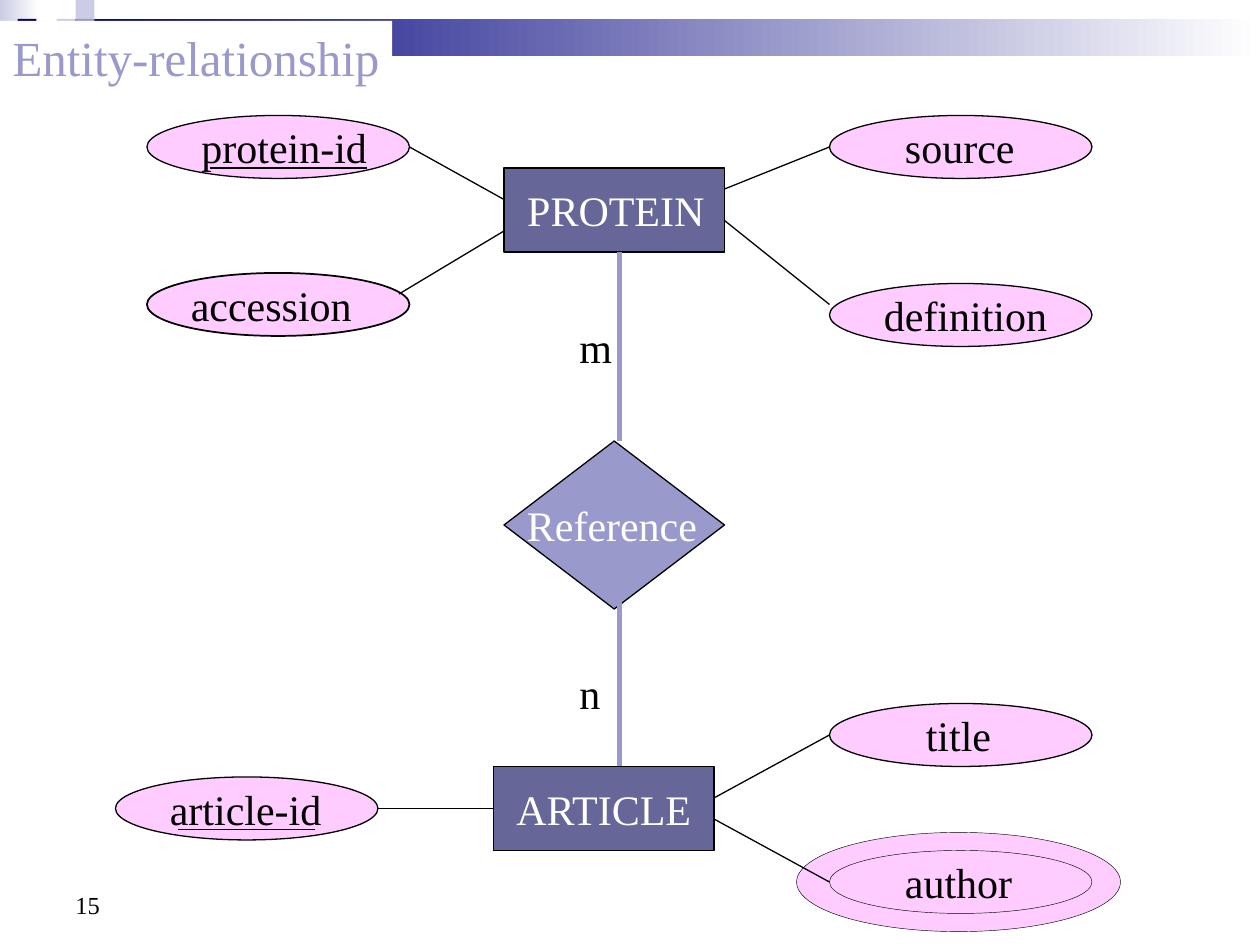
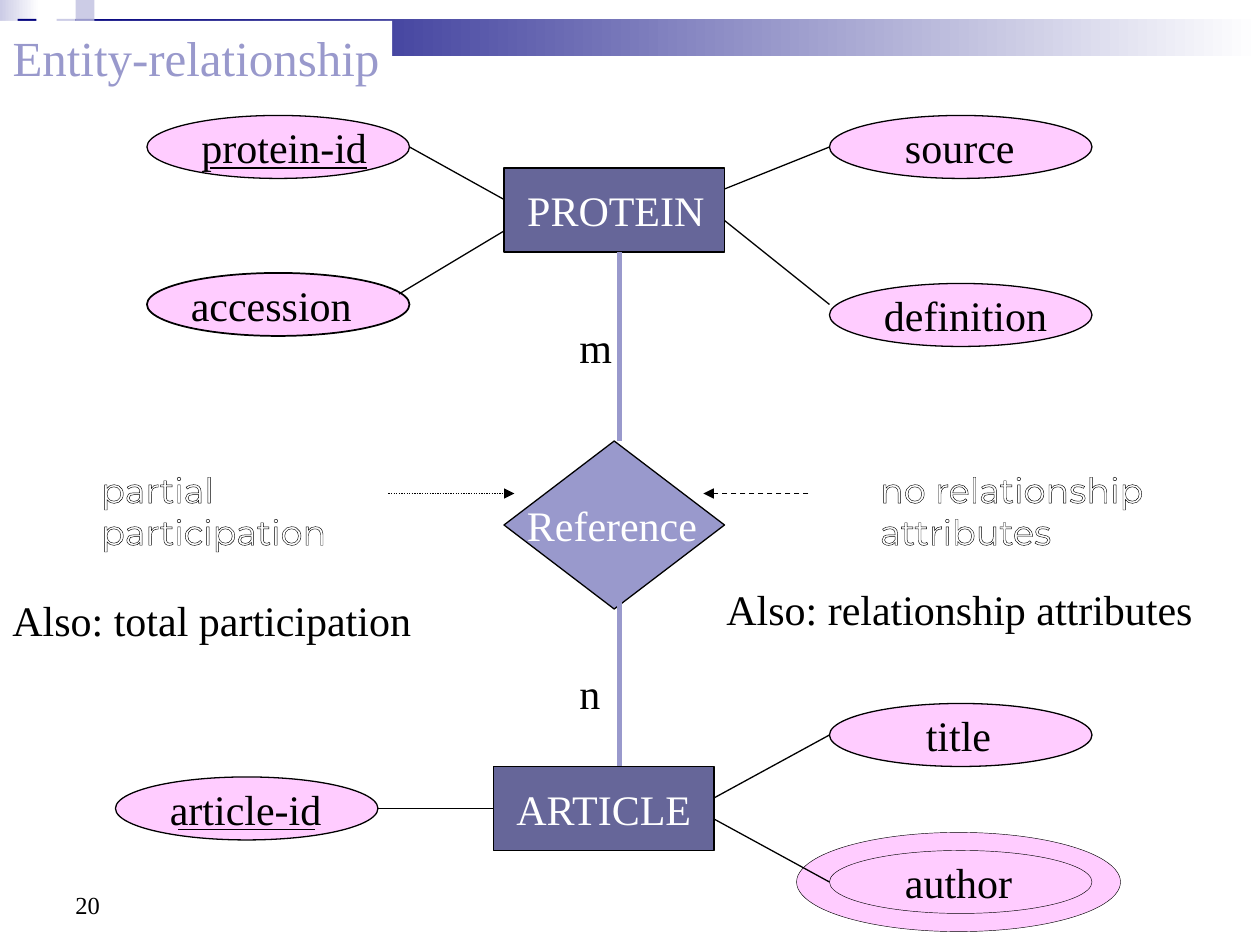
import dataclasses
import typing

import lxml.etree
import pptx
import pptx.dml.color
import pptx.enum.dml
import pptx.enum.shapes
import pptx.enum.text
import pptx.oxml.ns
import pptx.util

SHAPE = pptx.enum.shapes.MSO_SHAPE
DASH = pptx.enum.dml.MSO_LINE
ANCHOR = pptx.enum.text.MSO_ANCHOR
FIT = pptx.enum.text.MSO_AUTO_SIZE

# Slide grid: 120 columns by 90 rows; the top band has its own grid of 50 rows
WIDTH, HEIGHT = pptx.util.Inches(10), pptx.util.Inches(7.5)
CELL = WIDTH / 120
BAND_CELL = HEIGHT / 50

SERIF, SANS = "Times New Roman", "Montserrat"
BLACK, WHITE = "000000", "FFFFFF"
NAVY, SLATE, LILAC, PALE, PINK = "00007D", "666699", "9999CC", "CCCCE6", "FFCCFF"


@dataclasses.dataclass(frozen=True)
class Area:
    col: float
    row: float
    cols: float
    rows: float

    def emu(self, cell: float = CELL) -> list[int]:
        return [round(n * cell) for n in (self.col, self.row, self.cols, self.rows)]


@dataclasses.dataclass(frozen=True)
class Node:
    """An entity, attribute or relationship; its label has its own column."""
    text: str
    area: Area
    label_col: float
    label_cols: float
    kind: int = SHAPE.OVAL
    fill: str = PINK
    color: str = BLACK
    weight: float = 0.75


@dataclasses.dataclass(frozen=True)
class Link:
    start: tuple[float, float]
    end: tuple[float, float]
    color: str = BLACK
    weight: float = 0.75
    dash: typing.Optional[int] = None
    arrow: bool = False
    joined: typing.Optional[tuple[str, int]] = None  # node name, side


@dataclasses.dataclass(frozen=True)
class Note:
    text: str
    area: Area
    outlined: bool = False


def attribute(text: str, col: float, row: float, label_col: float,
              label_cols: float, weight: float = 0.75) -> Node:
    return Node(text, Area(col, row, 25, 6), label_col, label_cols, weight=weight)


def entity(text: str, col: float, row: float, label_col: float, label_cols: float) -> Node:
    return Node(text, Area(col, row, 21, 8), label_col, label_cols,
                SHAPE.RECTANGLE, SLATE, WHITE)


# Top band: area on the band grid, and one colour or two for a gradient
BAND = [
    (Area(0, 0, 2.07, 3.87), (PALE, WHITE)),
    (Area(3, 1, 63.67, 1.96), (NAVY, WHITE)),
    (Area(3, 1, 1, 1), (PALE,)),
    (Area(4, 0, 1, 1), (PALE,)),
    (Area(4, 1, 1, 1), (LILAC,)),
    (Area(0.93, 1, 1, 1), (NAVY,)),
]

# Diagram shared by both slides
TITLE_AREA = Area(0, 2, 37.35, 6.8)
NUMBER_AREA = Area(6, 82, 28, 6.2)
AUTHOR_RING = Area(75.87, 79.28, 30.85, 9.45)

NODES = [
    Node("Reference", Area(48, 42, 21, 16), 49, 18.6, SHAPE.DIAMOND, LILAC, WHITE),
    attribute("protein-id", 14, 11, 18, 18.1),
    attribute("accession", 14, 26, 17, 17.6, weight=1),
    attribute("definition", 79, 27, 83, 17.9),
    attribute("source", 79, 11, 85, 12.8),
    attribute("article-id", 11, 74, 15, 16.8),
    attribute("title", 79, 67, 87, 8.6),
    attribute("author", 79, 81, 85, 12.6, weight=0.25),
    entity("PROTEIN", 48, 16, 49.03, 19.3),
    entity("ARTICLE", 47, 73, 48, 19.2),
]

LINKS = [
    Link((48, 19), (39, 14)),
    Link((48, 22), (38, 28)),
    Link((69, 18), (79, 14)),
    Link((69, 21), (79, 29)),
    Link((68, 76), (79, 70)),
    Link((68, 78), (79, 84)),
    Link((47, 77), (36, 77), joined=("ARTICLE", 1)),
    Link((59, 42), (59, 24), LILAC, 3),
    Link((59, 57), (59, 73), LILAC, 3),
    # Underlines of the key attributes
    Link((20, 16), (35, 16)),
    Link((17, 79), (30, 79)),
]

CARDINALITIES = [
    Note("m", Area(54, 30, 5.5, 6)),
    Note("n", Area(54, 63, 4.3, 6)),
]

# Remarks on the second slide
REMARKS = [
    Note("partial\nparticipation", Area(8.45, 44, 23.7, 9.5), outlined=True),
    Note("Also: total participation", Area(0, 56, 40.3, 6)),
    Note("no relationship\nattributes", Area(82.65, 44, 27.4, 9.5), outlined=True),
    Note("Also: relationship attributes", Area(68, 55, 46.8, 6)),
]
REMARK_ARROWS = [
    Link((37, 47), (49, 47), dash=DASH.ROUND_DOT, arrow=True),
    Link((77, 47), (67, 47), dash=DASH.DASH, arrow=True),
]


def rgb(value: str) -> pptx.dml.color.RGBColor:
    return pptx.dml.color.RGBColor.from_string(value)


def outline_run(r, color: str, weight: float) -> None:
    """Draw a line around the letters of a run; it goes before the fill."""
    ln = lxml.etree.Element(pptx.oxml.ns.qn("a:ln"), w=str(pptx.util.Pt(weight)))
    fill = lxml.etree.SubElement(ln, pptx.oxml.ns.qn("a:solidFill"))
    lxml.etree.SubElement(fill, pptx.oxml.ns.qn("a:srgbClr"), val=color)
    r._r.get_or_add_rPr().insert(0, ln)


def write(sp, text: str, *, size: float = 24, font: str = SERIF, color: str = BLACK,
          wrap: bool = False, anchor=ANCHOR.TOP, fit=FIT.SHAPE_TO_FIT_TEXT,
          outline: str = "") -> None:
    tf = sp.text_frame
    tf.text = text
    tf.word_wrap, tf.auto_size, tf.vertical_anchor = wrap, fit, anchor
    if fit == FIT.SHAPE_TO_FIT_TEXT:
        tf.margin_right = 0  # room to keep a tight label on one line
    for p in tf.paragraphs:
        p.alignment = pptx.enum.text.PP_ALIGN.LEFT
        for r in p.runs:
            r.font.name, r.font.size = font, pptx.util.Pt(size)
            r.font.color.rgb = rgb(color)
            if outline:
                outline_run(r, outline, 0.75)


def add_text(s, text: str, area: Area, **style) -> None:
    write(s.shapes.add_textbox(*area.emu()), text, **style)


def add_figure(s, kind: int, area: Area, fills: tuple[str, ...],
               weight: float = 0, cell: float = CELL):
    sp = s.shapes.add_shape(kind, *area.emu(cell))
    sp.shadow.inherit = False
    if len(fills) == 1:
        sp.fill.solid()
        sp.fill.fore_color.rgb = rgb(fills[0])
    else:
        sp.fill.gradient()
        sp.fill.gradient_angle = 0
        for stop, color in zip(sp.fill.gradient_stops, fills):
            stop.color.rgb = rgb(color)
    if weight:
        sp.line.color.rgb = rgb(BLACK)
        sp.line.width = pptx.util.Pt(weight)
    else:
        sp.line.fill.background()
    return sp


def add_node(s, node: Node):
    sp = add_figure(s, node.kind, node.area, (node.fill,), node.weight)
    label_row = node.area.row + (node.area.rows - 6) / 2
    add_text(s, node.text, Area(node.label_col, label_row, node.label_cols, 6),
             color=node.color)
    return sp


def add_link(s, link: Link, nodes: dict) -> None:
    ends = [round(n * CELL) for n in (*link.start, *link.end)]
    cxn = s.shapes.add_connector(pptx.enum.shapes.MSO_CONNECTOR.STRAIGHT, *ends)
    if link.joined:
        name, side = link.joined
        cxn.begin_connect(nodes[name], side)
    cxn.line.color.rgb = rgb(link.color)
    cxn.line.width = pptx.util.Pt(link.weight)
    if link.dash is not None:
        cxn.line.dash_style = link.dash
    sp_pr = cxn.element.spPr
    if link.arrow:
        ln = sp_pr.find(pptx.oxml.ns.qn("a:ln"))
        lxml.etree.SubElement(ln, pptx.oxml.ns.qn("a:tailEnd"), type="triangle")
    lxml.etree.SubElement(sp_pr, pptx.oxml.ns.qn("a:effectLst"))


def add_note(s, note: Note) -> None:
    if note.outlined:
        add_text(s, note.text, note.area, size=20, font=SANS, color=WHITE,
                 fit=FIT.NONE, outline=BLACK)
    else:
        add_text(s, note.text, note.area)


def add_band(s) -> None:
    """Draw the top band and move it to the layout, behind every title."""
    for area, fills in BAND:
        sp = add_figure(s, SHAPE.RECTANGLE, area, fills, cell=BAND_CELL)
        s.slide_layout.shapes.element.append(sp.element)


def add_diagram(s, number: str) -> None:
    # Title
    title = s.shapes.title
    title.left, title.top, title.width, title.height = TITLE_AREA.emu()
    title.fill.solid()
    title.fill.fore_color.rgb = rgb(WHITE)
    write(title, "Entity-relationship", size=28, color=LILAC)

    # Entities, attributes and relationship
    add_figure(s, SHAPE.OVAL, AUTHOR_RING, (PINK,), 0.25)
    add_text(s, number, NUMBER_AREA, size=14, wrap=True, anchor=ANCHOR.BOTTOM, fit=FIT.NONE)
    nodes = {node.text: add_node(s, node) for node in NODES}

    # Links and cardinalities
    for link in LINKS:
        add_link(s, link, nodes)
    for note in CARDINALITIES:
        add_note(s, note)


def main() -> None:
    prs = pptx.Presentation()
    prs.slide_width, prs.slide_height = WIDTH, HEIGHT
    layout = prs.slide_layouts.get_by_name("Title Only")

    # Slide 1: the diagram
    s = prs.slides.add_slide(layout)
    add_band(s)
    add_diagram(s, "15")

    # Slide 2: the diagram with remarks
    s = prs.slides.add_slide(layout)
    add_diagram(s, "20")
    for note in REMARKS:
        add_note(s, note)
    for arrow in REMARK_ARROWS:
        add_link(s, arrow, {})

    prs.save("out.pptx")


if __name__ == "__main__":
    main()
